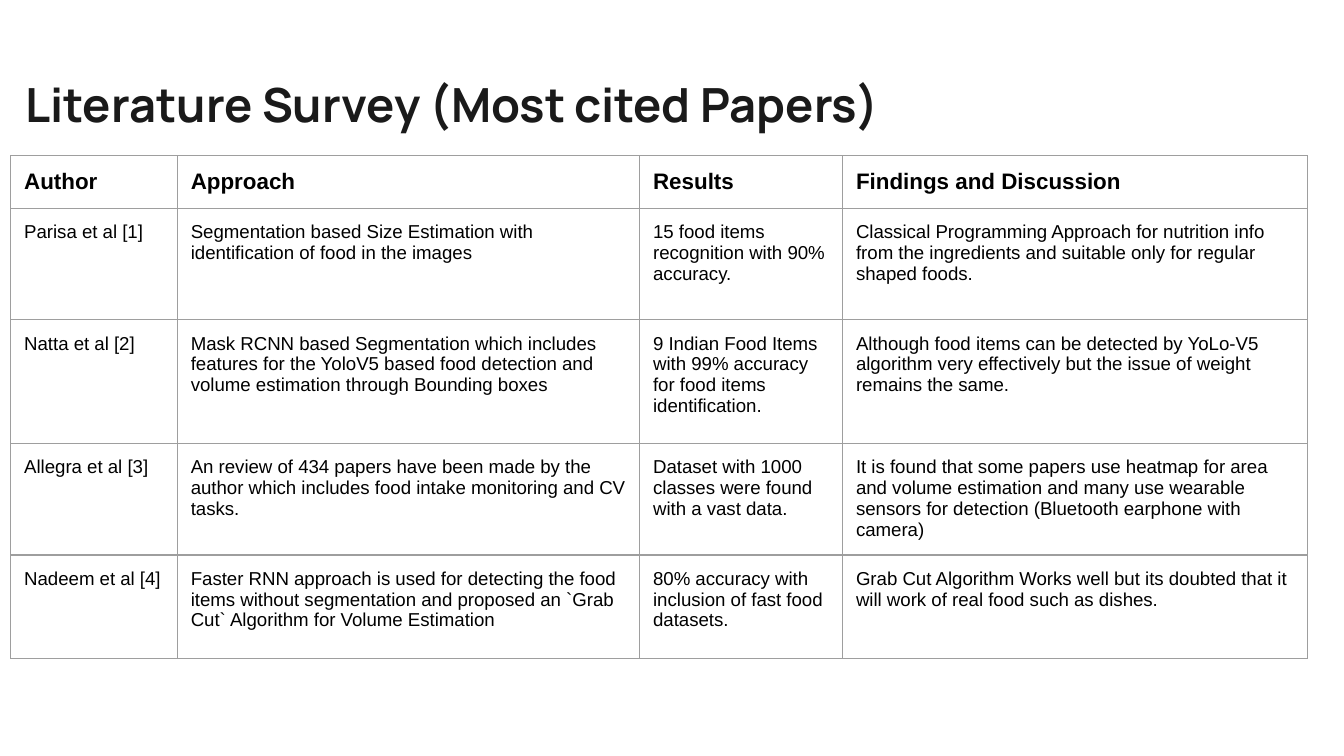
from pptx import Presentation
from pptx.dml.color import RGBColor
from pptx.enum.text import MSO_ANCHOR
from pptx.oxml.ns import qn
from pptx.util import Inches, Pt
from lxml.etree import SubElement

# Content
TITLE = "Literature Survey (Most cited Papers)"
ROWS = [
    ("Author", "Approach", "Results", "Findings and Discussion"),
    ("Parisa et al [1]",
     "Segmentation based Size Estimation with identification of food in the images",
     "15 food items recognition with 90% accuracy.",
     "Classical Programming Approach for nutrition info from the ingredients "
     "and suitable only for regular shaped foods."),
    ("Natta et al [2]",
     "Mask RCNN based Segmentation which includes features for the YoloV5 based "
     "food detection and volume estimation through Bounding boxes",
     "9 Indian Food Items with 99% accuracy for food items identification.",
     "Although food items can be detected by YoLo-V5 algorithm very effectively "
     "but the issue of weight remains the same."),
    ("Allegra et al [3]",
     "An review of 434 papers have been made by the author which includes food "
     "intake monitoring and CV tasks.",
     "Dataset with 1000 classes were found with a vast data.",
     "It is found that some papers use heatmap for area and volume estimation and "
     "many use wearable sensors for detection (Bluetooth earphone with camera)"),
    ("Nadeem et al [4]",
     "Faster RNN approach is used for detecting the food items without segmentation "
     "and proposed an `Grab Cut` Algorithm for Volume Estimation",
     "80% accuracy with inclusion of fast food datasets.",
     "Grab Cut Algorithm Works well but its doubted that it will work of real food "
     "such as dishes."),
]
WIDTHS = [1.24, 3.44, 1.51, 3.46]
HEIGHTS = [0.39, 0.83, 0.92, 0.83, 0.77]

# Formats
INK = RGBColor(0x1A, 0x1A, 0x1A)
BLACK = RGBColor(0, 0, 0)
GRAY = RGBColor(0x9E, 0x9E, 0x9E)
HEAD = {"name": "Manrope", "size": Pt(25.2), "bold": True}
LABEL = {"name": "Arial", "size": Pt(12), "bold": True}
BODY = {"name": "Arial", "size": Pt(10), "bold": False}
PAD = {"margin_left": Inches(0.1), "margin_right": Inches(0.1),
       "margin_top": Inches(0.1), "margin_bottom": Inches(0.05),
       "vertical_anchor": MSO_ANCHOR.TOP}


def assign(item, values):
    for key, value in values.items():
        setattr(item, key, value)


def write(frame, text, style, color):
    run = frame.paragraphs[0].add_run()
    run.text = text
    assign(run.font, style)
    run.font.color.rgb = color


def outline(cell):
    props = cell._tc.get_or_add_tcPr()
    for spot, side in enumerate(("lnL", "lnR", "lnT", "lnB")):
        line = SubElement(props, qn(f"a:{side}"), w=str(Pt(0.75)))
        fill = SubElement(line, qn("a:solidFill"))
        SubElement(fill, qn("a:srgbClr"), val=str(GRAY))
        props.insert(spot, line)


# Widescreen slide, 16 to 9
deck = Presentation()
deck.slide_width = Inches(10)
deck.slide_height = Inches(10 * 9 / 16)
slide = deck.slides.add_slide(deck.slide_layouts[6])

# Title
box = slide.shapes.add_textbox(Inches(0.09), Inches(0.46), Inches(8.41), Inches(0.59))
frame = box.text_frame
assign(frame, {**PAD, "word_wrap": True})
write(frame, TITLE, HEAD, INK)

# Survey table
table = slide.shapes.add_table(
    len(ROWS), len(WIDTHS), Inches(0.08), Inches(1.16),
    Inches(sum(WIDTHS)), Inches(sum(HEIGHTS))).table
assign(table, {"first_row": False, "horz_banding": False})
for col, width in zip(table.columns, WIDTHS):
    col.width = Inches(width)
for num, (row, height) in enumerate(zip(table.rows, HEIGHTS)):
    row.height = Inches(height)
    for cell, text in zip(row.cells, ROWS[num]):
        assign(cell, PAD)
        cell.fill.background()
        outline(cell)
        write(cell.text_frame, text, BODY if num else LABEL, BLACK)

deck.save("out.pptx")
